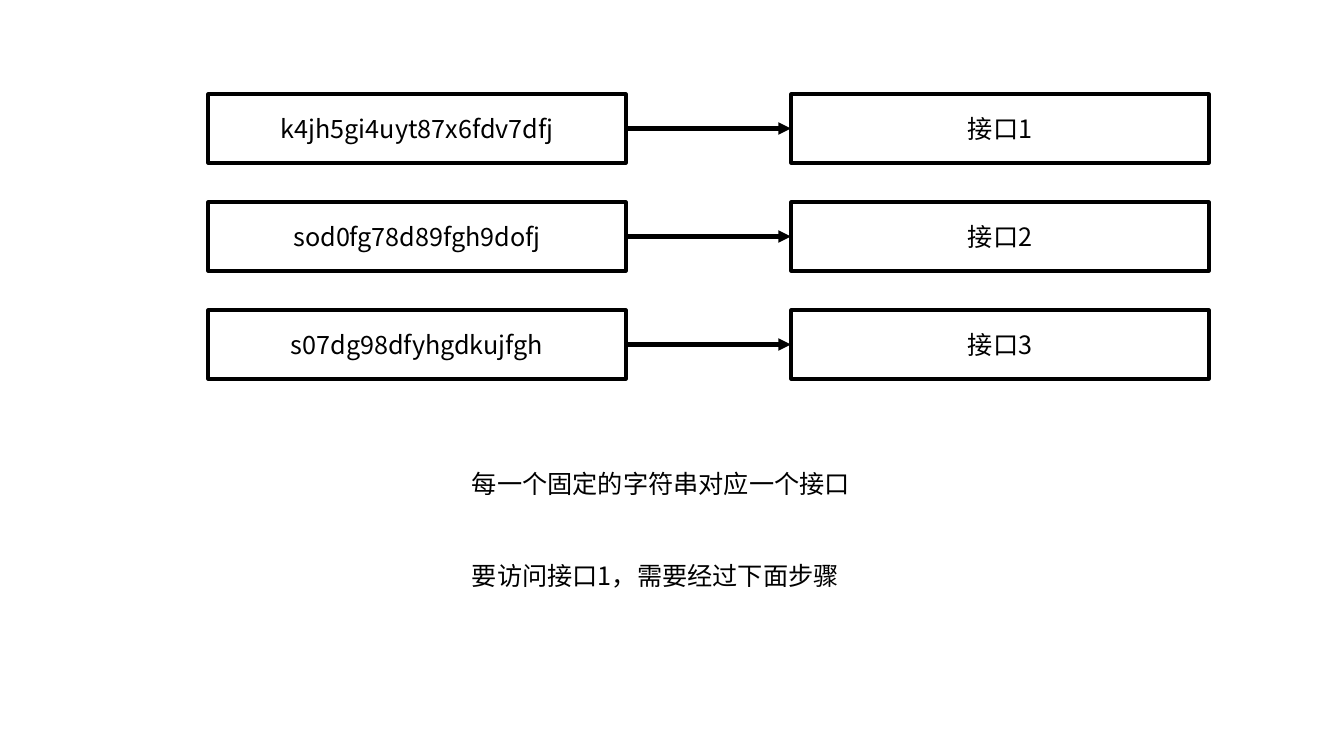
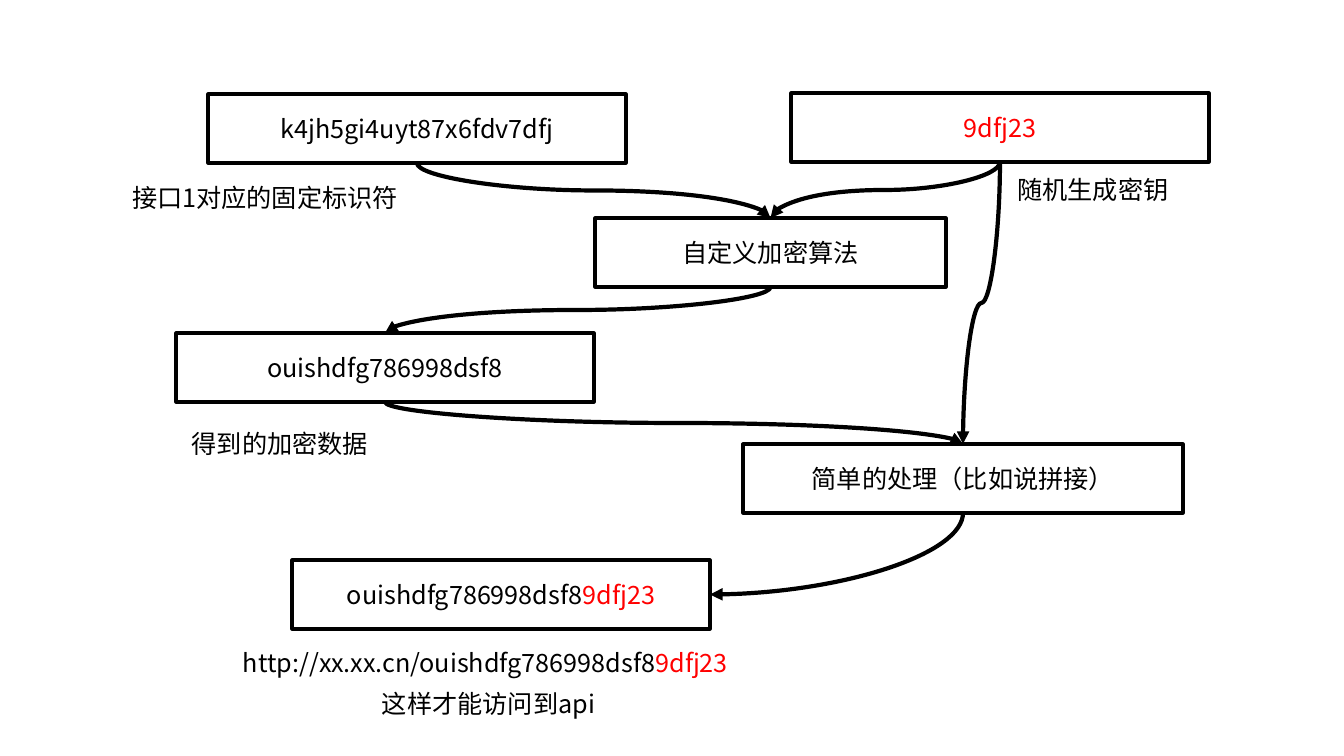
from dataclasses import dataclass

import pptx
import pptx.dml.color
import pptx.enum.shapes
import pptx.enum.text
import pptx.oxml
import pptx.oxml.ns
import pptx.util
from lxml import etree

PX = 12192000 / 1344  # EMU per pixel
TOP, LEFT, BOTTOM, RIGHT = range(4)  # connection sites of a box
ALIGN = pptx.enum.text.PP_ALIGN
qn = pptx.oxml.ns.qn


@dataclass(frozen=True)
class Theme:
    """Colours, type and line widths shared by both slides."""
    ink: str = "000000"
    accent: str = "FF0000"
    font: str = "Noto Sans CJK SC"
    size: float = 18
    border: float = 2.25
    arrow: float = 3
    box_w: int = 418
    box_h: int = 69
    label_w: int = 440
    label_h: int = 40


theme = Theme()
ink = pptx.dml.color.RGBColor.from_string(theme.ink)


def add_text(slide, x, y, w, h, runs, boxed=False, align=ALIGN.CENTER):
    """Add a label or an outlined process box; runs are (text, colour) pairs."""
    at = [round(v * PX) for v in (x, y, w, h)]
    if boxed:
        sp = slide.shapes.add_shape(
            pptx.enum.shapes.MSO_SHAPE.FLOWCHART_PROCESS, *at)
        sp.shadow.inherit = False
        sp.fill.background()
        sp.line.color.rgb = ink
        sp.line.width = pptx.util.Pt(theme.border)
    else:
        sp = slide.shapes.add_textbox(*at)
    tf = sp.text_frame
    tf.word_wrap = True
    if boxed:
        tf.vertical_anchor = pptx.enum.text.MSO_ANCHOR.MIDDLE
    else:
        tf.auto_size = pptx.enum.text.MSO_AUTO_SIZE.SHAPE_TO_FIT_TEXT
    p = tf.paragraphs[0]
    p.alignment = align
    for text, colour in runs:
        r = p.add_run()
        r.text = text
        r.font.size = pptx.util.Pt(theme.size)
        r.font.name = theme.font
        r.font.color.rgb = pptx.dml.color.RGBColor.from_string(colour)
        ea = etree.SubElement(r.font._element, qn("a:ea"))
        ea.set("typeface", theme.font)
    return sp


def add_arrow(slide, source, source_site, target, target_site):
    """Join two boxes with a curved arrow, turned when it leaves downwards."""
    c = slide.shapes.add_connector(
        pptx.enum.shapes.MSO_CONNECTOR.CURVE, 0, 0, 0, 0)
    c.begin_connect(source, source_site)
    c.end_connect(target, target_site)
    if source_site == BOTTOM:
        cx, cy = (c.begin_x + c.end_x) // 2, (c.begin_y + c.end_y) // 2
        dx, dy = (c.end_x - c.begin_x) // 2, (c.end_y - c.begin_y) // 2
        turn = 1 if dx < 0 else -1
        c.begin_x, c.begin_y = cx - turn * dy, cy + turn * dx
        c.end_x, c.end_y = cx + turn * dy, cy - turn * dx
        c.rotation = 90 if turn == 1 else 270
    props = c._element.spPr
    if target_site == RIGHT:
        props.find(qn("a:prstGeom")).set("prst", "curvedConnector2")
    c.line.color.rgb = ink
    c.line.width = pptx.util.Pt(theme.arrow)
    etree.SubElement(props.find(qn("a:ln")), qn("a:tailEnd")).set("type", "triangle")
    etree.SubElement(props, qn("a:effectLst"))


prs = pptx.Presentation()
prs.slide_width = round(1344 * PX)
prs.slide_height = round(756 * PX)
blank = prs.slide_layouts[6]

identifier = "k4jh5gi4uyt87x6fdv7dfj"
encrypted = ("ouishdfg786998dsf8", theme.ink)
secret = ("9dfj23", theme.accent)

# Slide 1: each fixed string maps to one interface
slide = prs.slides.add_slide(blank)
strings = [identifier, "sod0fg78d89fgh9dofj", "s07dg98dfyhgdkujfgh"]
for i, string in enumerate(strings):
    y = 94 + 108 * i
    key = add_text(slide, 208, y, theme.box_w, theme.box_h,
                   [(string, theme.ink)], boxed=True)
    interface = add_text(slide, 791, y, theme.box_w, theme.box_h,
                         [(f"接口{i + 1}", theme.ink)], boxed=True)
    add_arrow(slide, key, RIGHT, interface, LEFT)

for y, note in [(463, "每一个固定的字符串对应一个接口"),
                (555, "要访问接口1，需要经过下面步骤")]:
    add_text(slide, 462, y, theme.label_w, theme.label_h,
             [(note, theme.ink)], align=ALIGN.LEFT)

# Slide 2: steps for reaching interface 1
slide = prs.slides.add_slide(blank)
steps = {}
for name, x, y, w, runs in [
    ("identifier", 208, 94, theme.box_w, [(identifier, theme.ink)]),
    ("secret", 791, 93, theme.box_w, [secret]),
    ("algorithm", 595, 218, 351, [("自定义加密算法", theme.ink)]),
    ("encrypted", 176, 333, theme.box_w, [encrypted]),
    ("joining", 743, 444, 440, [("简单的处理（比如说拼接）", theme.ink)]),
    ("result", 292, 560, theme.box_w, [encrypted, secret]),
]:
    steps[name] = add_text(slide, x, y, w, theme.box_h, runs, boxed=True)

for source, target, site in [
    ("secret", "algorithm", TOP),
    ("identifier", "algorithm", TOP),
    ("algorithm", "encrypted", TOP),
    ("secret", "joining", TOP),
    ("encrypted", "joining", TOP),
    ("joining", "result", RIGHT),
]:
    add_arrow(slide, steps[source], BOTTOM, steps[target], site)

for x, y, w, h, runs in [
    (45, 177, theme.label_w, theme.label_h, [("接口1对应的固定标识符", theme.ink)]),
    (873, 169, theme.label_w, theme.label_h, [("随机生成密钥", theme.ink)]),
    (60, 423, theme.label_w, theme.label_h, [("得到的加密数据", theme.ink)]),
    (225, 642, 521, 72, [("http://xx.xx.cn/" + encrypted[0], theme.ink), secret]),
    (228, 683, 521, theme.label_h, [("这样才能访问到api", theme.ink)]),
]:
    add_text(slide, x, y, w, h, runs)

prs.save("out.pptx")
